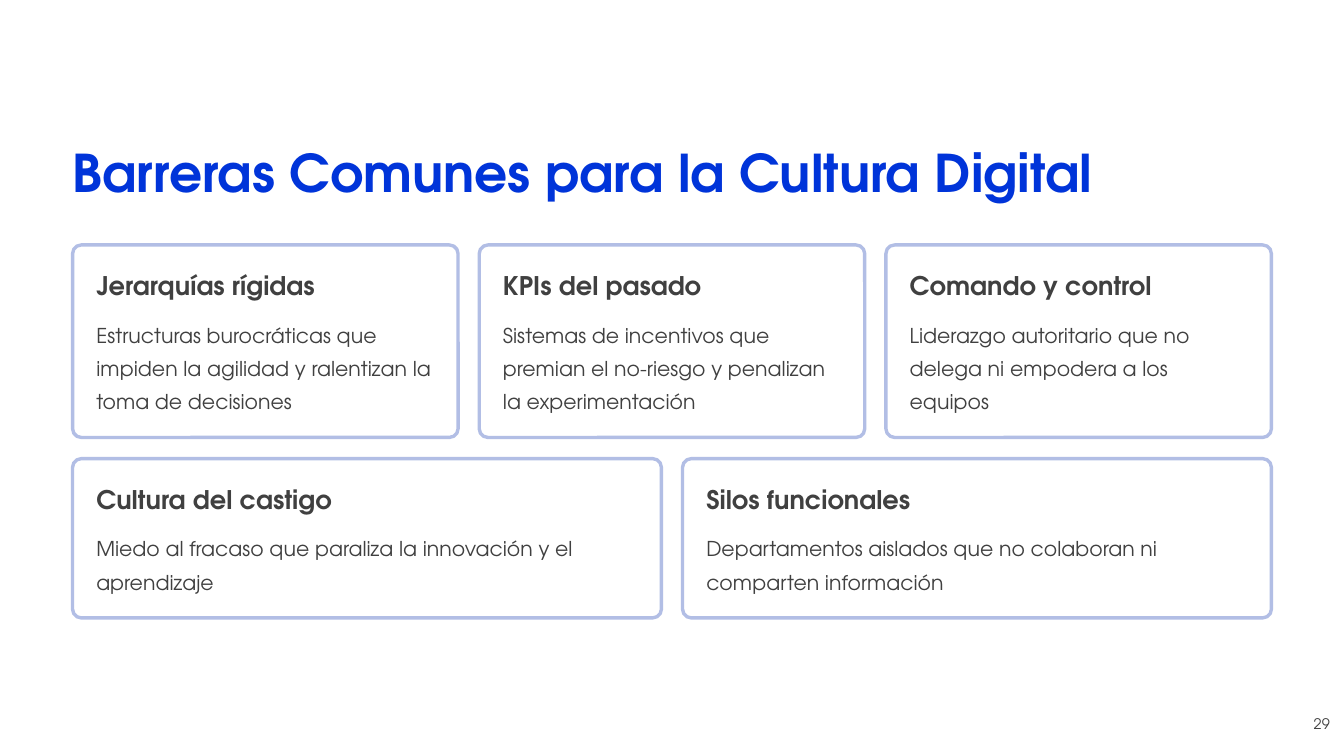
from pptx import Presentation
from pptx.dml.color import RGBColor
from pptx.enum.shapes import MSO_SHAPE
from pptx.enum.text import PP_ALIGN
from pptx.util import Inches, Pt

TITLE = "Barreras Comunes para la Cultura Digital"
PAGE_NUMBER = "29"
ROWS = [
    (2.43, 1.91, [
        ("Jerarquías rígidas",
         "Estructuras burocráticas que impiden la agilidad y ralentizan la toma de decisiones"),
        ("KPIs del pasado",
         "Sistemas de incentivos que premian el no-riesgo y penalizan la experimentación"),
        ("Comando y control",
         "Liderazgo autoritario que no delega ni empodera a los equipos"),
    ]),
    (4.55, 1.58, [
        ("Cultura del castigo",
         "Miedo al fracaso que paraliza la innovación y el aprendizaje"),
        ("Silos funcionales",
         "Departamentos aislados que no colaboran ni comparten información"),
    ]),
]

FONT = "TeX Gyre Adventor"
BLUE = RGBColor(0x00, 0x34, 0xD9)
BORDER = RGBColor(0xB2, 0xBE, 0xE5)
GRAY = RGBColor(0x40, 0x40, 0x40)
WHITE = RGBColor(0xFF, 0xFF, 0xFF)

LEFT, CONTENT_W, GAP = 0.72, 11.89, 0.21
PAD, RADIUS = 0.235, 0.086
BODY_OFFSET = 0.685


def add_text(slide, text, x, y, w, h, size, spacing, color=GRAY,
             bold=False, wrap=False, align=PP_ALIGN.LEFT):
    tf = slide.shapes.add_textbox(Inches(x), Inches(y), Inches(w), Inches(h)).text_frame
    tf.margin_left = tf.margin_top = tf.margin_right = tf.margin_bottom = 0
    tf.word_wrap = wrap
    p = tf.paragraphs[0]
    p.text = text
    p.alignment = align
    p.line_spacing = Pt(spacing)
    p.font.name = FONT
    p.font.size = Pt(size)
    p.font.bold = bold
    p.font.color.rgb = color


def add_card(slide, heading, body, x, y, w, h):
    sp = slide.shapes.add_shape(MSO_SHAPE.ROUNDED_RECTANGLE,
                                Inches(x), Inches(y), Inches(w), Inches(h))
    sp.adjustments[0] = RADIUS / h
    sp.shadow.inherit = False
    sp.fill.solid()
    sp.fill.fore_color.rgb = WHITE
    sp.line.color.rgb = BORDER
    sp.line.width = Pt(2.4)
    add_text(slide, heading, x + PAD, y + PAD, 2.58, 0.32, 18.3, 22.9, bold=True)
    add_text(slide, body, x + PAD, y + BODY_OFFSET, w - 2 * PAD,
             h - BODY_OFFSET - PAD, 14.6, 23.8, wrap=True)


def main():
    prs = Presentation()
    prs.slide_width, prs.slide_height = Inches(13.33), Inches(7.5)
    s = prs.slides.add_slide(prs.slide_layouts[6])
    s.background.fill.solid()
    s.background.fill.fore_color.rgb = WHITE

    add_text(s, TITLE, LEFT, 1.37, 10.32, 0.65, 37.1, 46.2, color=BLUE, bold=True)
    for y, h, cards in ROWS:
        w = (CONTENT_W - GAP * (len(cards) - 1)) / len(cards)
        for i, (heading, body) in enumerate(cards):
            add_card(s, heading, body, LEFT + i * (w + GAP), y, w, h)
    add_text(s, PAGE_NUMBER, 12.84, 7.03, 0.35, 0.23, 10.4, 16.7, align=PP_ALIGN.RIGHT)

    prs.save("out.pptx")


if __name__ == "__main__":
    main()
